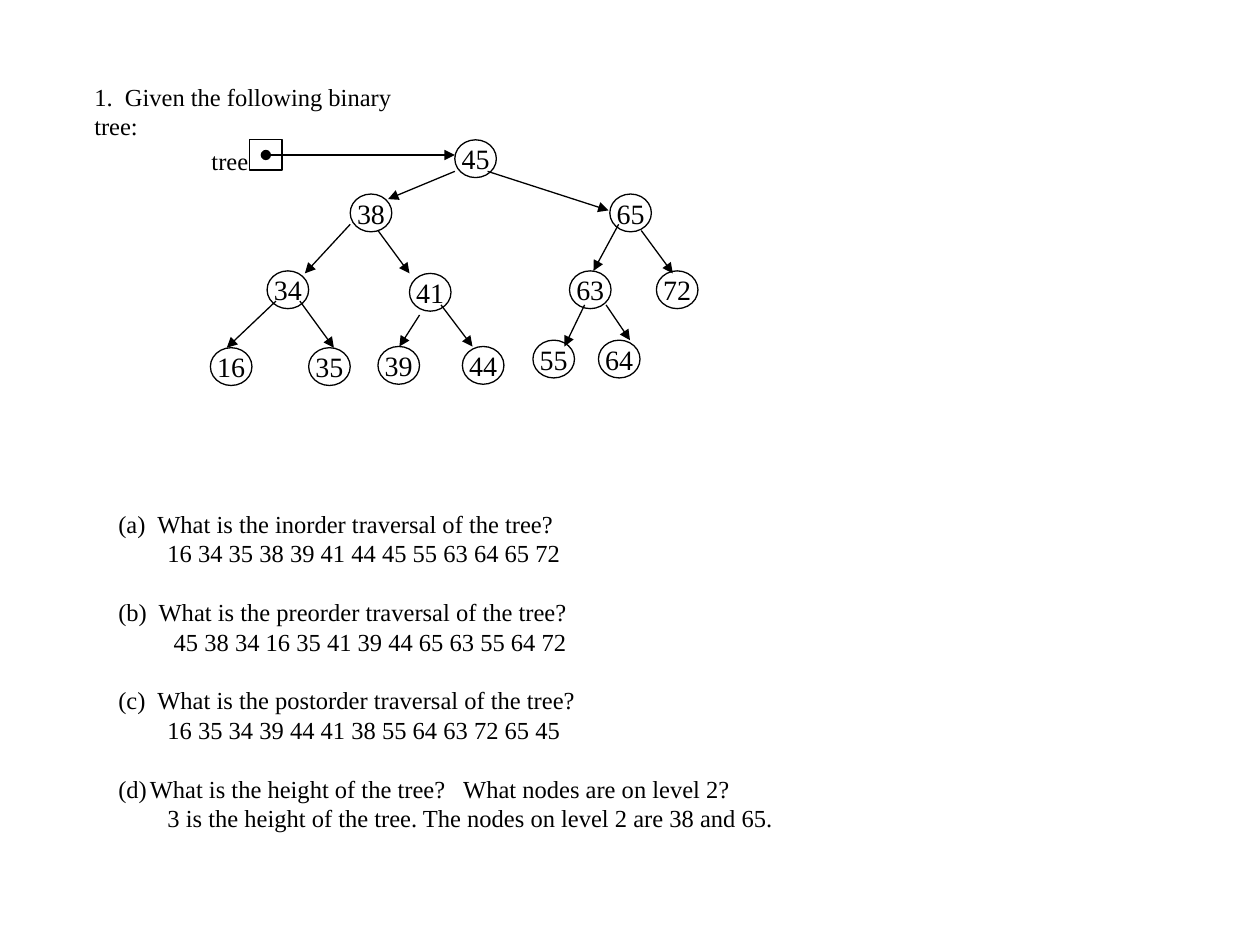
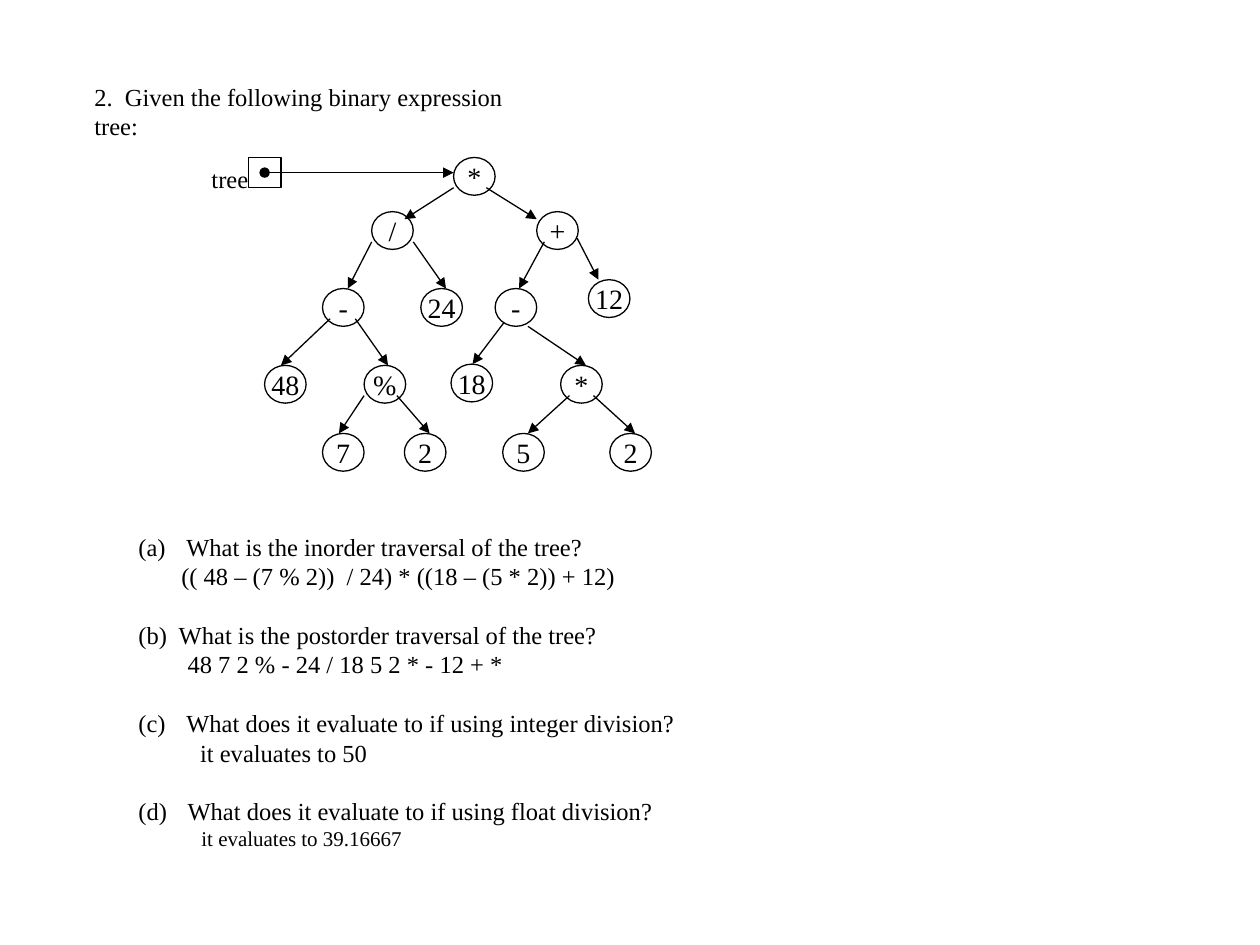
from dataclasses import dataclass

from lxml import etree
from pptx import Presentation
from pptx.dml.color import RGBColor
from pptx.enum.shapes import MSO_CONNECTOR as Conn, MSO_SHAPE as Shape
from pptx.enum.text import MSO_ANCHOR as Anchor, PP_ALIGN as Align
from pptx.oxml.ns import qn
from pptx.util import Inches, Pt


# Theme
@dataclass(frozen=True)
class Theme:
    font: str = "Times New Roman"
    ink: RGBColor = RGBColor(0x00, 0x00, 0x00)
    paper: RGBColor = RGBColor(0xFF, 0xFF, 0xFF)
    body: float = 14
    small: float = 12
    node: float = 16
    line: float = 0.75
    leading: float = 1.2


THEME = Theme()
NODE_W, NODE_H = 0.33, 0.3
POINTER_W, POINTER_H = 0.26, 0.24


# Content types, lengths in inches
@dataclass(frozen=True)
class Node:
    label: str
    x: float
    y: float


@dataclass(frozen=True)
class Edge:
    x1: float
    y1: float
    x2: float
    y2: float


@dataclass(frozen=True)
class Question:
    text: str
    answer: str
    indent: float
    answer_indent: float
    answer_size: float = THEME.body


@dataclass(frozen=True)
class Exercise:
    title: str
    title_width: float
    pointer_x: float
    root: Node
    nodes: list[Node]
    edges: list[Edge]
    questions_box: tuple[float, float, float, float]
    questions: list[Question]


# Drawing helpers
def style_text(p, size: float) -> None:
    for r in p.runs:
        r.font.name = THEME.font
        r.font.size = Pt(size)
        r.font.color.rgb = THEME.ink


def set_indent(p, left: float, first: float = 0) -> None:
    pPr = p._p.get_or_add_pPr()
    pPr.set("marL", str(Inches(left)))
    pPr.set("indent", str(Inches(first)))


def number(p, start: int) -> None:
    bullet = etree.SubElement(p._p.get_or_add_pPr(), qn("a:buAutoNum"))
    bullet.set("type", "alphaLcParenBoth")
    bullet.set("startAt", str(start))


def add_text(s, text: str, x: float, y: float, w: float, h: float, wrap: bool) -> None:
    tf = s.shapes.add_textbox(Inches(x), Inches(y), Inches(w), Inches(h)).text_frame
    tf.word_wrap = wrap
    tf.text = text
    p = tf.paragraphs[0]
    p.line_spacing = Pt(THEME.body * THEME.leading)
    style_text(p, THEME.body)


def add_outline(s, kind: Shape, x: float, y: float, w: float, h: float):
    sp = s.shapes.add_shape(kind, Inches(x), Inches(y), Inches(w), Inches(h))
    sp.shadow.inherit = False
    sp.fill.background()
    sp.line.color.rgb = THEME.ink
    sp.line.width = Pt(THEME.line)
    return sp


def add_node(s, node: Node) -> None:
    tf = add_outline(s, Shape.OVAL, node.x, node.y, NODE_W, NODE_H).text_frame
    tf.word_wrap = False
    tf.vertical_anchor = Anchor.MIDDLE
    tf.text = node.label
    p = tf.paragraphs[0]
    p.alignment = Align.CENTER
    style_text(p, THEME.node)


def add_arrow(s, edge: Edge, from_dot: bool = False) -> None:
    c = s.shapes.add_connector(Conn.STRAIGHT, Inches(edge.x1), Inches(edge.y1),
                               Inches(edge.x2), Inches(edge.y2))
    c.line.color.rgb = THEME.ink
    c.line.width = Pt(THEME.line)
    ln = c.line._get_or_add_ln()
    if from_dot:
        etree.SubElement(ln, qn("a:headEnd")).set("type", "oval")
    etree.SubElement(ln, qn("a:tailEnd")).set("type", "triangle")
    etree.SubElement(c._element.spPr, qn("a:effectLst"))


def add_tree(s, ex: Exercise) -> None:
    for node in [ex.root, *ex.nodes]:
        add_node(s, node)
    for edge in ex.edges:
        add_arrow(s, edge)

    # Boxed pointer to the root
    y = ex.root.y
    add_outline(s, Shape.RECTANGLE, ex.pointer_x, y, POINTER_W, POINTER_H)
    add_text(s, "tree", 1.58, y, 0.49, 0.33, wrap=False)
    mid_y = y + POINTER_H / 2
    add_arrow(s, Edge(ex.pointer_x + POINTER_W / 2, mid_y, ex.root.x, mid_y), from_dot=True)


def add_questions(s, ex: Exercise) -> None:
    tf = s.shapes.add_textbox(*map(Inches, ex.questions_box)).text_frame
    tf.word_wrap = True
    gap = Pt(THEME.body * THEME.leading)
    for i, q in enumerate(ex.questions, start=1):
        p = tf.paragraphs[0] if i == 1 else tf.add_paragraph()
        p.text = q.text
        p.line_spacing = gap
        if i > 1:
            p.space_before = gap
        set_indent(p, q.indent, -q.indent)
        number(p, i)
        style_text(p, THEME.body)

        p = tf.add_paragraph()
        p.text = q.answer
        p.line_spacing = Pt(q.answer_size * THEME.leading)
        set_indent(p, q.answer_indent)
        style_text(p, q.answer_size)


def add_exercise(prs, ex: Exercise) -> None:
    s = prs.slides.add_slide(prs.slide_layouts[6])
    s.background.fill.solid()
    s.background.fill.fore_color.rgb = THEME.paper
    add_text(s, ex.title, 0.65, 0.6, ex.title_width, 0.56, wrap=True)
    add_questions(s, ex)
    add_tree(s, ex)


# Exercise 1: binary search tree
SEARCH_TREE = Exercise(
    title="1.  Given the following binary tree:",
    title_width=2.9,
    pointer_x=1.98,
    root=Node("45", 3.61, 1.11),
    nodes=[
        Node("38", 2.78, 1.54), Node("65", 4.84, 1.54),
        Node("34", 2.12, 2.15), Node("41", 3.25, 2.17),
        Node("63", 4.52, 2.15), Node("72", 5.21, 2.15),
        Node("16", 1.67, 2.76), Node("35", 2.45, 2.76),
        Node("39", 3, 2.75), Node("44", 3.67, 2.75),
        Node("55", 4.23, 2.7), Node("64", 4.75, 2.7),
    ],
    edges=[
        Edge(3.61, 1.36, 3.08, 1.58), Edge(3.87, 1.36, 4.83, 1.67),
        Edge(2.78, 1.78, 2.42, 2.17), Edge(3, 1.83, 3.25, 2.17),
        Edge(4.91, 1.78, 4.71, 2.15), Edge(5.09, 1.83, 5.34, 2.17),
        Edge(2.19, 2.39, 1.8, 2.76), Edge(2.38, 2.39, 2.65, 2.76),
        Edge(3.33, 2.5, 3.17, 2.75), Edge(3.5, 2.42, 3.75, 2.75),
        Edge(4.64, 2.42, 4.48, 2.75), Edge(4.81, 2.42, 5, 2.7),
    ],
    questions_box=(0.84, 3.99, 7.31, 2.69),
    questions=[
        Question("What is the inorder traversal of the tree?",
                 "16 34 35 38 39 41 44 45 55 63 64 65 72", 0.31, 0.39),
        Question("What is the preorder traversal of the tree?",
                 "45 38 34 16 35 41 39 44 65 63 55 64 72", 0.32, 0.44),
        Question("What is the postorder traversal of the tree?",
                 "16 35 34 39 44 41 38 55 64 63 72 65 45", 0.31, 0.39),
        Question("What is the height of the tree?   What nodes are on level 2?",
                 "3 is the height of the tree. The nodes on level 2 are 38 and 65.", 0.25, 0.39),
    ],
)

# Exercise 2: expression tree
EXPRESSION_TREE = Exercise(
    title="2.  Given the following binary expression tree:",
    title_width=3.78,
    pointer_x=1.97,
    root=Node("*", 3.6, 1.25),
    nodes=[
        Node("/", 2.95, 1.68), Node("+", 4.26, 1.68),
        Node("-", 2.56, 2.29), Node("24", 3.34, 2.29),
        Node("-", 3.93, 2.29), Node("12", 4.67, 2.22),
        Node("48", 2.1, 2.9), Node("%", 2.89, 2.9),
        Node("18", 3.58, 2.89), Node("*", 4.45, 2.9),
        Node("7", 2.56, 3.44), Node("2", 3.21, 3.44),
        Node("5", 3.99, 3.44), Node("2", 4.84, 3.44),
    ],
    edges=[
        Edge(3.6, 1.49, 3.21, 1.74), Edge(3.86, 1.49, 4.26, 1.74),
        Edge(2.95, 1.92, 2.76, 2.29), Edge(3.28, 1.92, 3.54, 2.29),
        Edge(4.32, 1.92, 4.12, 2.29), Edge(4.58, 1.89, 4.75, 2.22),
        Edge(2.62, 2.53, 2.23, 2.9), Edge(2.82, 2.53, 3.08, 2.9),
        Edge(4, 2.56, 3.75, 2.89), Edge(4.19, 2.59, 4.65, 2.9),
        Edge(2.89, 3.14, 2.69, 3.44), Edge(3.15, 3.14, 3.41, 3.44),
        Edge(4.52, 3.14, 4.19, 3.44), Edge(4.71, 3.14, 5.04, 3.44),
    ],
    questions_box=(1, 4.17, 4.75, 3.06),
    questions=[
        Question("What is the inorder traversal of the tree?",
                 "(( 48 – (7 % 2))  / 24) * ((18 – (5 * 2)) + 12)", 0.38, 0.34),
        Question("What is the postorder traversal of the tree?",
                 "48 7 2 % - 24 / 18 5 2 * - 12 + *", 0.32, 0.39),
        Question("What does it evaluate to if using integer division?",
                 "it evaluates to 50", 0.38, 0.49),
        Question("What does it evaluate to if using float division?",
                 "it evaluates to 39.16667", 0.39, 0.5, THEME.small),
    ],
)

# Build the deck
prs = Presentation()
prs.slide_width, prs.slide_height = Inches(10), Inches(7.5)
for exercise in (SEARCH_TREE, EXPRESSION_TREE):
    add_exercise(prs, exercise)
prs.save("out.pptx")
